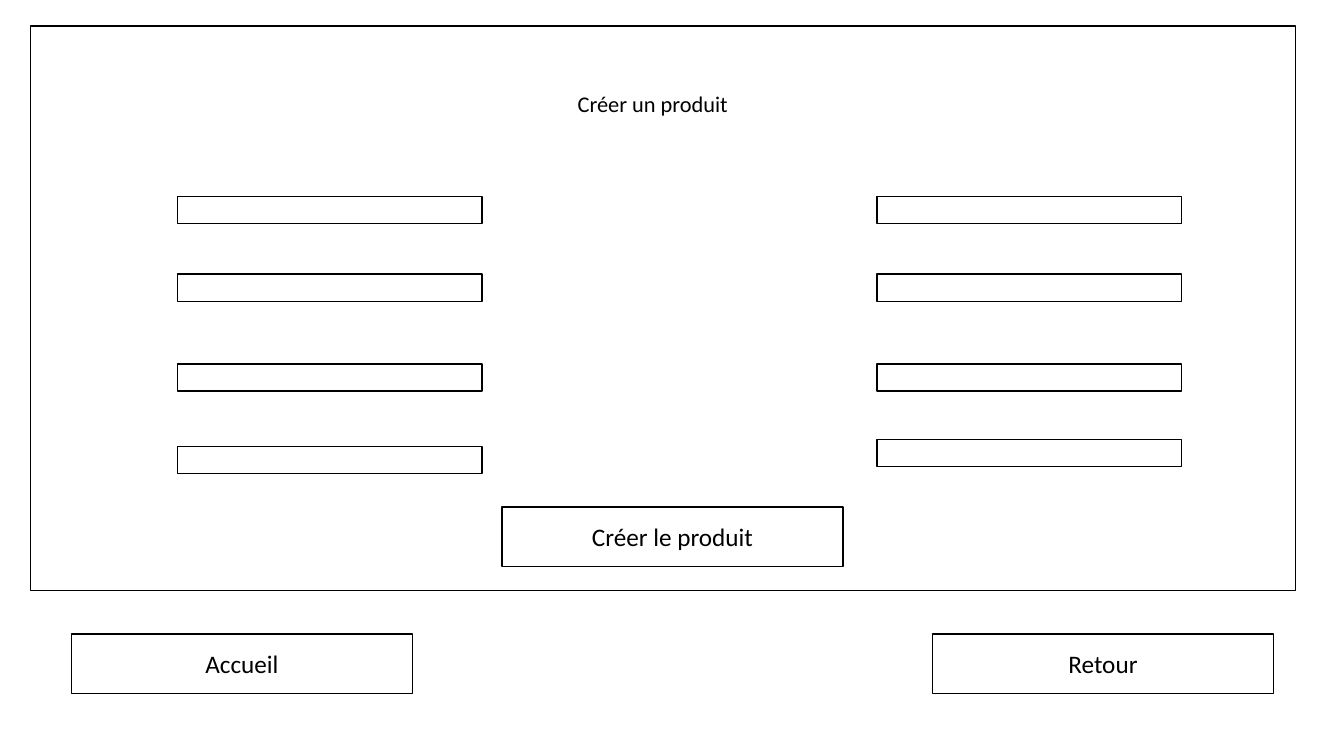
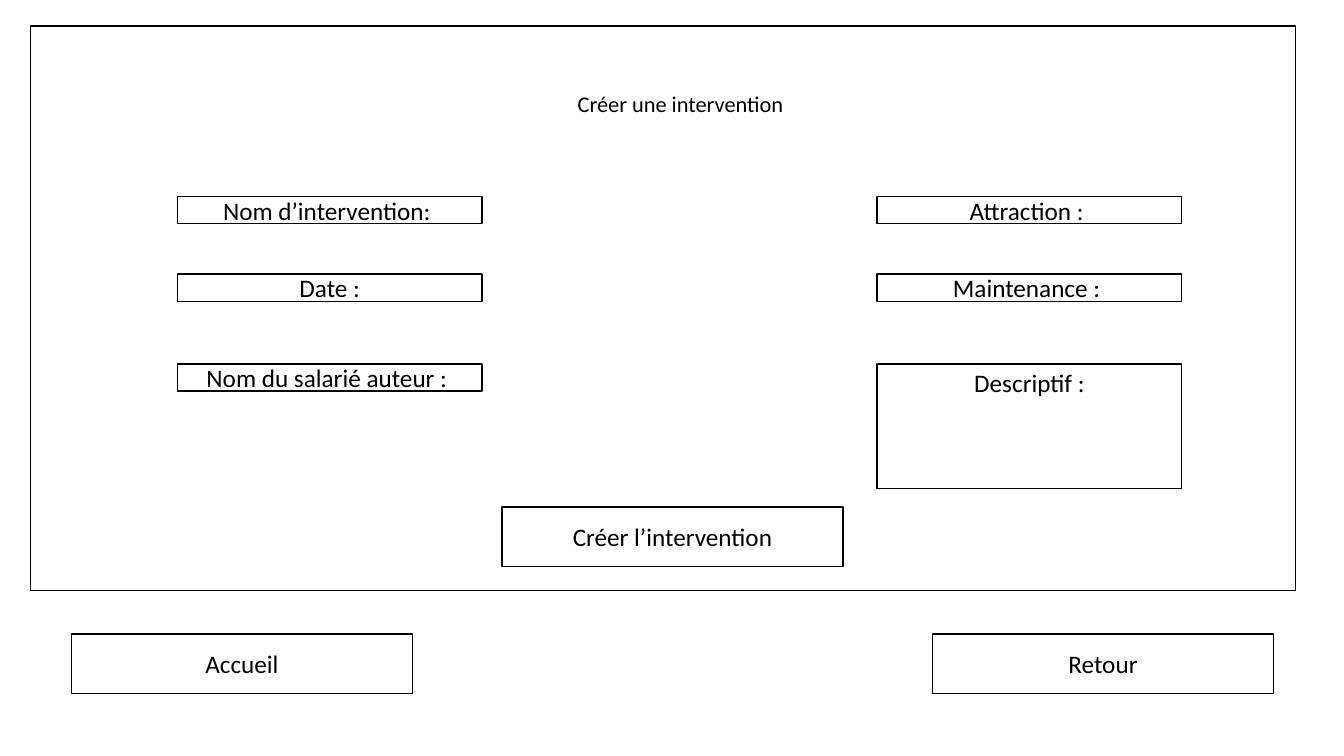
"""Build two form mock-ups: create a product and create an intervention."""
from pptx import Presentation
from pptx.dml.color import RGBColor
from pptx.enum.shapes import MSO_SHAPE as Shape
from pptx.enum.text import MSO_ANCHOR as Anchor, MSO_AUTO_SIZE as Fit, PP_ALIGN as Align
from pptx.util import Inches, Pt

BLACK = RGBColor(0x00, 0x00, 0x00)
WHITE = RGBColor(0xFF, 0xFF, 0xFF)
FONT = "Calibri"
LEFT, RIGHT = 1.76, 8.70
ROWS = [1.95, 2.72, 3.61, 4.43]
LAST = 4.36
WIDE, HIGH = 3.02, 0.27
TALL = 1.24
BTN_W, BTN_H = 3.38, 0.59
FOOT = 6.29

FORMS = [
    ("Créer un produit", 2.08, "Créer le produit", [
        (LEFT, ROWS, ["", "", "", ""], HIGH),
        (RIGHT, ROWS[:3] + [LAST], ["", "", "", ""], HIGH),
    ]),
    ("Créer une intervention", 2.64, "Créer l’intervention", [
        (LEFT, ROWS, ["Nom d’intervention: ", "Date :", "Nom du salarié auteur : "], HIGH),
        (RIGHT, ROWS, ["Attraction : ", "Maintenance : ", "Descriptif :"], TALL),
    ]),
]


def write(frame, text, size, align):
    """Add one run of black text to the first paragraph."""
    para = frame.paragraphs[0]
    para.alignment = align
    run = para.add_run()
    run.text = text
    run.font.name = FONT
    run.font.size = Pt(size)
    run.font.color.rgb = BLACK


def add_box(slide, x, y, w, h, text=""):
    """Draw a white outlined box, with a centred label if given."""
    box = slide.shapes.add_shape(Shape.RECTANGLE, Inches(x), Inches(y), Inches(w), Inches(h))
    box.shadow.inherit = False
    box.fill.solid()
    box.fill.fore_color.rgb = WHITE
    box.line.color.rgb = BLACK
    box.line.width = Pt(1)
    if text:
        write(box.text_frame, text, 18, Align.CENTER)
    return box


deck = Presentation()
deck.slide_width, deck.slide_height = Inches(13.33), Inches(7.5)

for name, width, action, sides in FORMS:
    slide = deck.slides.add_slide(deck.slide_layouts[5])
    add_box(slide, 0.3, 0.26, 12.55, 5.6)

    title = slide.shapes.title
    title.element.getparent().append(title.element)
    title.left, title.top = Inches(5.63), Inches(0.84)
    title.width, title.height = Inches(width), Inches(0.37)
    frame = title.text_frame
    frame.auto_size = Fit.NONE
    frame.word_wrap = False
    frame.vertical_anchor = Anchor.TOP
    write(frame, name, 16, Align.LEFT)

    for x, rows, labels, end in sides:
        for row, (y, label) in enumerate(zip(rows, labels)):
            high = end if row == len(labels) - 1 else HIGH
            box = add_box(slide, x, y, WIDE, high, label)
            if high == TALL:
                box.text_frame.vertical_anchor = Anchor.TOP
                box.text_frame.margin_top = Inches(0.03)

    for x, y, label in [(4.98, 5.03, action), (9.25, FOOT, "Retour"), (0.71, FOOT, "Accueil")]:
        add_box(slide, x, y, BTN_W, BTN_H, label)

deck.save("out.pptx")
